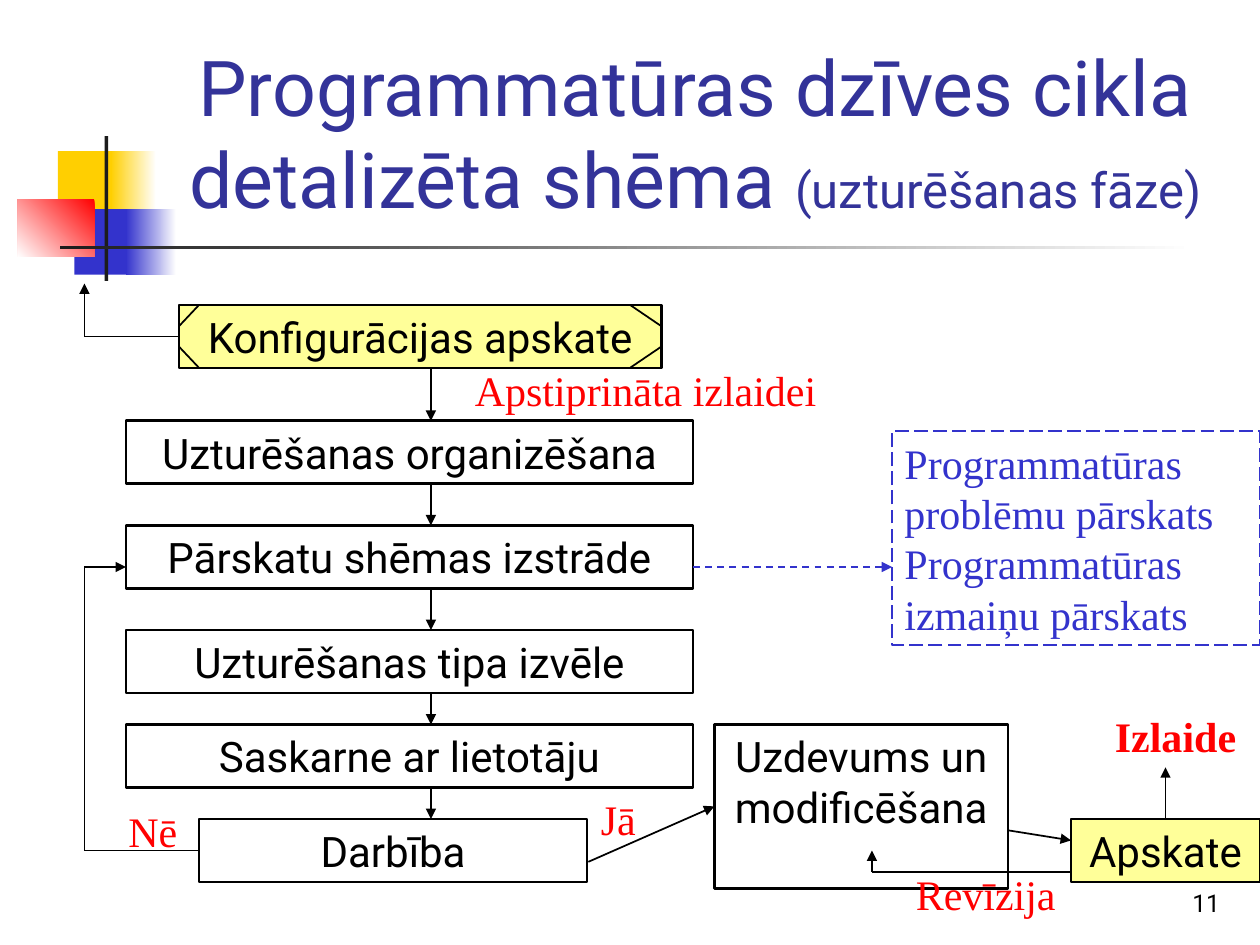
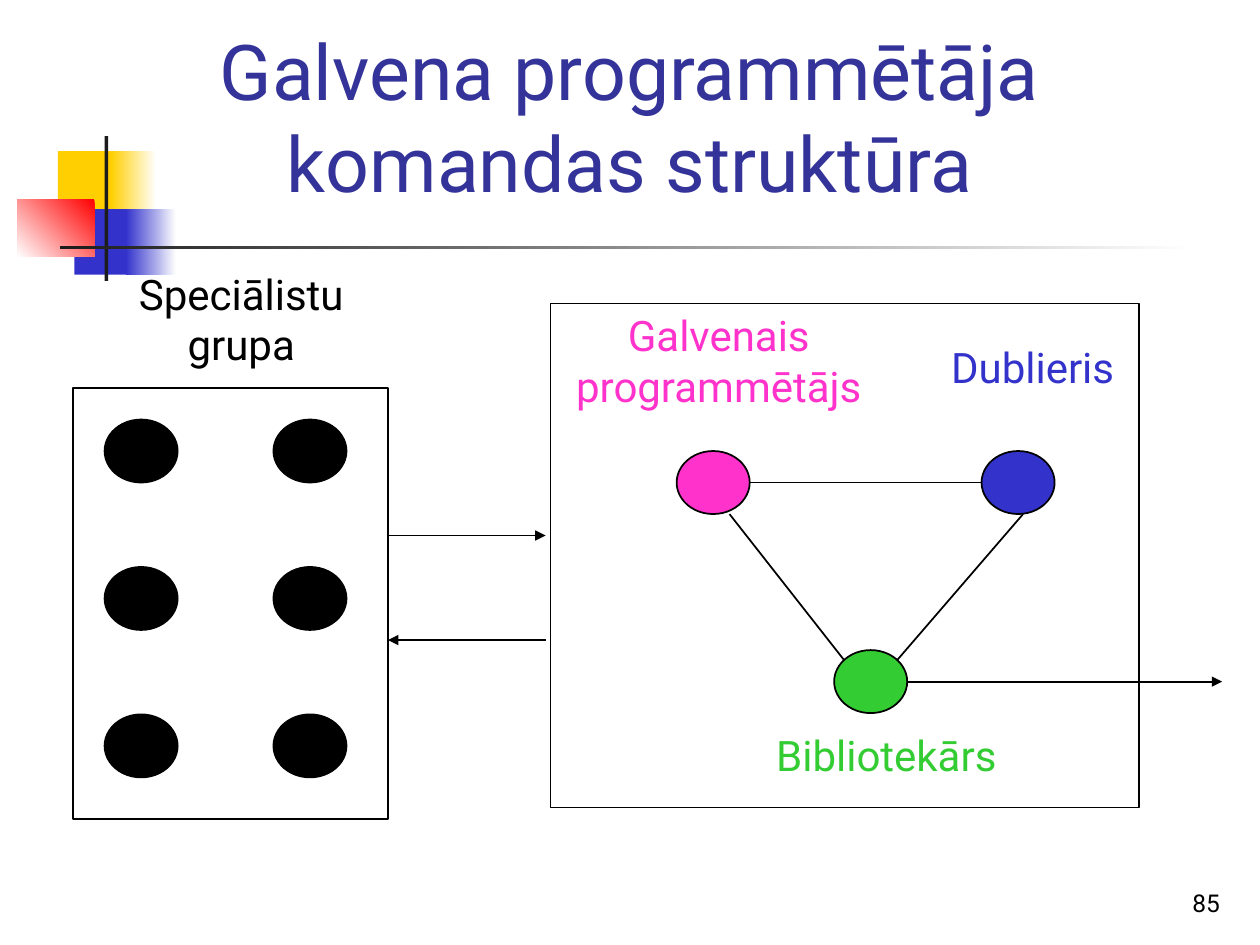
from dataclasses import dataclass
from itertools import pairwise, product
from typing import Any, Optional

from lxml.etree import SubElement
from pptx import Presentation
from pptx.dml.color import RGBColor
from pptx.enum.dml import MSO_LINE
from pptx.enum.shapes import MSO_CONNECTOR, MSO_SHAPE
from pptx.enum.text import MSO_ANCHOR, PP_ALIGN
from pptx.oxml.ns import qn
from pptx.util import Inches, Pt

# Shared look
COLORS = {
    "black": "000000", "white": "FFFFFF", "ink": "1C1C1C", "title": "333399",
    "blue": "3333CC", "gold": "FFCF01", "red": "FF0000", "cream": "FFFF99",
    "pink": "FF33CC", "green": "33CC33",
}
SANS, SERIF = "Roboto", "Times New Roman"
LEFT, CENTER, RIGHT = PP_ALIGN.LEFT, PP_ALIGN.CENTER, PP_ALIGN.RIGHT
Point = tuple[float, float]
Area = tuple[float, float, float, float]
Joint = tuple[str, int]


@dataclass
class Band:
    area: Area
    colors: tuple[str, ...]
    angle: float = 180


@dataclass
class Node:
    text: str
    area: Area
    fill: Optional[str] = None
    line: str = "black"
    weight: float = 1.5
    kind: MSO_SHAPE = MSO_SHAPE.RECTANGLE
    dash: Optional[MSO_LINE] = None
    font: str = SANS
    align: PP_ALIGN = CENTER


@dataclass
class Label:
    text: str
    area: Area
    color: str = "red"
    font: str = SERIF
    align: PP_ALIGN = LEFT
    bold: bool = False


@dataclass
class Link:
    start: Point
    end: Point
    arrow: Optional[str] = "tailEnd"
    color: str = "black"
    dash: Optional[MSO_LINE] = None
    begin_at: Optional[Joint] = None
    end_at: Optional[Joint] = None


BANDS = [
    Band((0.46, 1.2, 0.48, 0.52), ("gold",)),
    Band((0.88, 1.2, 0.36, 0.52), ("white", "gold")),
    Band((0.59, 1.66, 0.46, 0.52), ("blue",)),
    Band((1, 1.66, 0.4, 0.52), ("white", "blue")),
    Band((0.14, 1.58, 0.61, 0.46), ("red", "white"), 225),
    Band((0.83, 1.08, 0.03, 1.15), ("ink",)),
    Band((0.48, 1.95, 9, 0.03), ("white", "ink")),
]


def rgb(name: str) -> RGBColor:
    return RGBColor.from_string(COLORS[name])


def inches(values: tuple[float, ...]) -> list[Inches]:
    return [Inches(value) for value in values]


def set_all(target: Any, values: dict[str, Any]) -> None:
    for name, value in values.items():
        setattr(target, name, value)


def add_span(para: Any, text: str, color: str, font: str = SANS,
             size: float = 24, bold: bool = False) -> None:
    span = para.add_run()
    span.text = text
    set_all(span.font, {"name": font, "size": Pt(size), "bold": bold})
    span.font.color.rgb = rgb(color)


def start_text(box: Any, align: PP_ALIGN, anchor: MSO_ANCHOR = MSO_ANCHOR.TOP) -> Any:
    set_all(box.text_frame, {
        "word_wrap": True, "vertical_anchor": anchor,
        "margin_left": Inches(0.1), "margin_right": Inches(0.1),
        "margin_top": Inches(0.05), "margin_bottom": Inches(0.05),
    })
    para = box.text_frame.paragraphs[0]
    para.alignment = align
    return para


def add_band(page: Any, band: Band) -> None:
    shape = page.shapes.add_shape(MSO_SHAPE.RECTANGLE, *inches(band.area))
    shape.shadow.inherit = False
    shape.line.fill.background()
    if len(band.colors) == 1:
        shape.fill.solid()
        shape.fill.fore_color.rgb = rgb(band.colors[0])
        return
    shape.fill.gradient()
    shape.fill.gradient_angle = band.angle
    for stop, name in zip(shape.fill.gradient_stops, band.colors):
        stop.color.rgb = rgb(name)


def add_node(page: Any, node: Node) -> Any:
    shape = page.shapes.add_shape(node.kind, *inches(node.area))
    shape.shadow.inherit = False
    if node.fill:
        shape.fill.solid()
        shape.fill.fore_color.rgb = rgb(node.fill)
    else:
        shape.fill.background()
    shape.line.color.rgb = rgb(node.line)
    set_all(shape.line, {"width": Pt(node.weight), "dash_style": node.dash})
    if node.text:
        add_span(start_text(shape, node.align), node.text, node.line, node.font)
    return shape


def add_label(page: Any, label: Label) -> None:
    box = page.shapes.add_textbox(*inches(label.area))
    add_span(start_text(box, label.align), label.text, label.color,
             label.font, bold=label.bold)


def add_link(page: Any, link: Link, shapes: dict[str, Any]) -> None:
    connector = page.shapes.add_connector(
        MSO_CONNECTOR.STRAIGHT, *inches(link.start + link.end))
    if link.begin_at:
        connector.begin_connect(shapes[link.begin_at[0]], link.begin_at[1])
    if link.end_at:
        connector.end_connect(shapes[link.end_at[0]], link.end_at[1])
    connector.line.color.rgb = rgb(link.color)
    set_all(connector.line, {"width": Pt(1), "dash_style": link.dash})
    properties = connector._element.spPr
    if link.arrow:
        SubElement(properties.find(qn("a:ln")), qn(f"a:{link.arrow}"), type="triangle")
    SubElement(properties, qn("a:effectLst"))


def add_page(deck: Any, title_area: Area, number: int) -> tuple[Any, Any]:
    """Add a page with bands and number; return it with its title paragraph."""
    page = deck.slides.add_slide(deck.slide_layouts[6])
    for band in BANDS:
        add_band(page, band)
    title = page.shapes.add_textbox(*inches(title_area))
    footer = page.shapes.add_textbox(*inches((7.7, 6.83, 2.08, 0.5)))
    add_span(start_text(footer, RIGHT, MSO_ANCHOR.BOTTOM), str(number), "black", size=14)
    return page, start_text(title, CENTER, MSO_ANCHOR.BOTTOM)


def draw(page: Any, nodes: list[Node], labels: list[Label], links: list[Link]) -> None:
    shapes = {node.text: add_node(page, node) for node in nodes}
    for link in links:
        add_link(page, link, shapes)
    for label in labels:
        add_label(page, label)


def build_life_cycle(deck: Any) -> None:
    page, para = add_page(deck, (1.26, 0.23, 8.52, 1.6), 11)
    add_span(para, "Programmatūras dzīves cikla", "title", size=44)
    para.add_line_break()
    add_span(para, "detalizēta shēma ", "title", size=44)
    add_span(para, "(uzturēšanas fāze)", "title", size=28)

    # Main column of steps
    review, action = "Konfigurācijas apskate", "Darbība"
    change, check = "Uzdevums un modificēšana", "Apskate"
    steps = [
        Node(review, (1.42, 2.42, 3.83, 0.5), "cream"),
        Node("Uzturēšanas organizēšana", (1, 3.34, 4.5, 0.5)),
        Node("Pārskatu shēmas izstrāde", (1, 4.17, 4.5, 0.5)),
        Node("Uzturēšanas tipa izvēle", (1, 5, 4.5, 0.5)),
        Node("Saskarne ar lietotāju", (1, 5.75, 4.5, 0.5)),
        Node(action, (1.58, 6.5, 3.08, 0.5)),
    ]
    nodes = steps + [
        Node("Programmatūras problēmu pārskats Programmatūras izmaiņu pārskats",
             (7.08, 3.42, 2.92, 1.7), line="blue", weight=1,
             dash=MSO_LINE.LONG_DASH, font=SERIF, align=LEFT),
        Node(change, (5.67, 5.75, 2.33, 1.3)),
        Node(check, (8.5, 6.5, 1.5, 0.5), "cream"),
    ]
    down = [Link((3.42, upper.area[1] + upper.area[3]), (3.42, lower.area[1]))
            for upper, lower in pairwise(steps)]

    # Cut corners of the review step
    left, top, width, height = steps[0].area
    right, bottom = left + width, top + height
    corners = [Link((side, edge + turn * 0.17), (side + cut, edge), None)
               for (side, cut), (edge, turn) in product(
                   [(left, 0.16), (right, -0.25)], [(top, 1), (bottom, -1)])]

    # Returns, reports and release
    links = down + corners + [
        Link((1.42, 2.67), (0.67, 2.67), None, begin_at=(review, 1)),
        Link((0.67, 2.67), (0.67, 2.25)),
        Link((1.58, 6.75), (0.67, 6.75), None, begin_at=(action, 1)),
        Link((0.67, 6.75), (0.67, 4.5), None),
        Link((0.67, 4.5), (1, 4.5)),
        Link((5.5, 4.5), (7.08, 4.5), color="blue", dash=MSO_LINE.DASH),
        Link((4.67, 6.84), (5.67, 6.4), end_at=(change, 1)),
        Link((8, 6.59), (8.5, 6.67)),
        Link((8.5, 6.92), (6.92, 6.92), None),
        Link((6.92, 6.92), (6.92, 6.75)),
        Link((9.25, 6.5), (9.25, 6.09), begin_at=(check, 0)),
    ]
    labels = [
        Label("Apstiprināta izlaidei", (3.67, 2.84, 4, 0.5)),
        Label("Nē", (0.92, 6.34, 0.67, 0.5)),
        Label("Jā", (4.67, 6.25, 0.75, 0.5)),
        Label("Revīzija", (7.17, 6.84, 1.33, 0.5)),
        Label("Izlaide", (8.75, 5.59, 1.25, 0.5), bold=True),
    ]
    draw(page, nodes, labels, links)


def build_team(deck: Any) -> None:
    page, para = add_page(deck, (0.75, 0.28, 8.5, 1.42), 85)
    add_span(para, "Galvena programmētāja komandas struktūra", "title", size=44)

    def person(left: float, top: float, fill: str) -> Node:
        return Node("", (left, top, 0.58, 0.5), fill, weight=1, kind=MSO_SHAPE.OVAL)

    # Specialists in a grid, then the core team
    specialists = [person(left, 3.33 + row * 1.17, "black")
                   for row, left in product(range(3), (0.83, 2.17))]
    nodes = specialists + [
        Node("", (0.58, 3.08, 2.5, 3.42), weight=1),
        Node("", (4.37, 2.41, 4.67, 4), weight=1),
        person(5.37, 3.58, "pink"),
        person(7.79, 3.58, "blue"),
        person(6.62, 5.16, "green"),
    ]
    links = [
        Link((3.08, 4.25), (4.33, 4.25)),
        Link((3.08, 5.08), (4.33, 5.08), "headEnd"),
        Link((7.2, 5.41), (9.7, 5.41)),
        Link((5.95, 3.83), (7.79, 3.83), None),
        Link((5.79, 4.08), (6.7, 5.24), None),
        Link((7.12, 5.24), (8.12, 4.08), None),
    ]
    labels = [
        Label("Speciālistu grupa", (0.58, 2.08, 2.67, 0.9), "black", SANS, CENTER),
        Label("Galvenais programmētājs", (4.37, 2.41, 2.67, 0.9), "pink", SANS, CENTER),
        Label("Dublieris", (7.45, 2.66, 2, 0.5), "blue", SANS),
        Label("Bibliotekārs", (5.7, 5.74, 2.67, 0.5), "green", SANS, CENTER),
    ]
    draw(page, nodes, labels, links)


def main() -> None:
    deck = Presentation()
    set_all(deck, {"slide_width": Inches(10), "slide_height": Inches(7.5)})
    build_life_cycle(deck)
    build_team(deck)
    deck.save("out.pptx")


if __name__ == "__main__":
    main()
